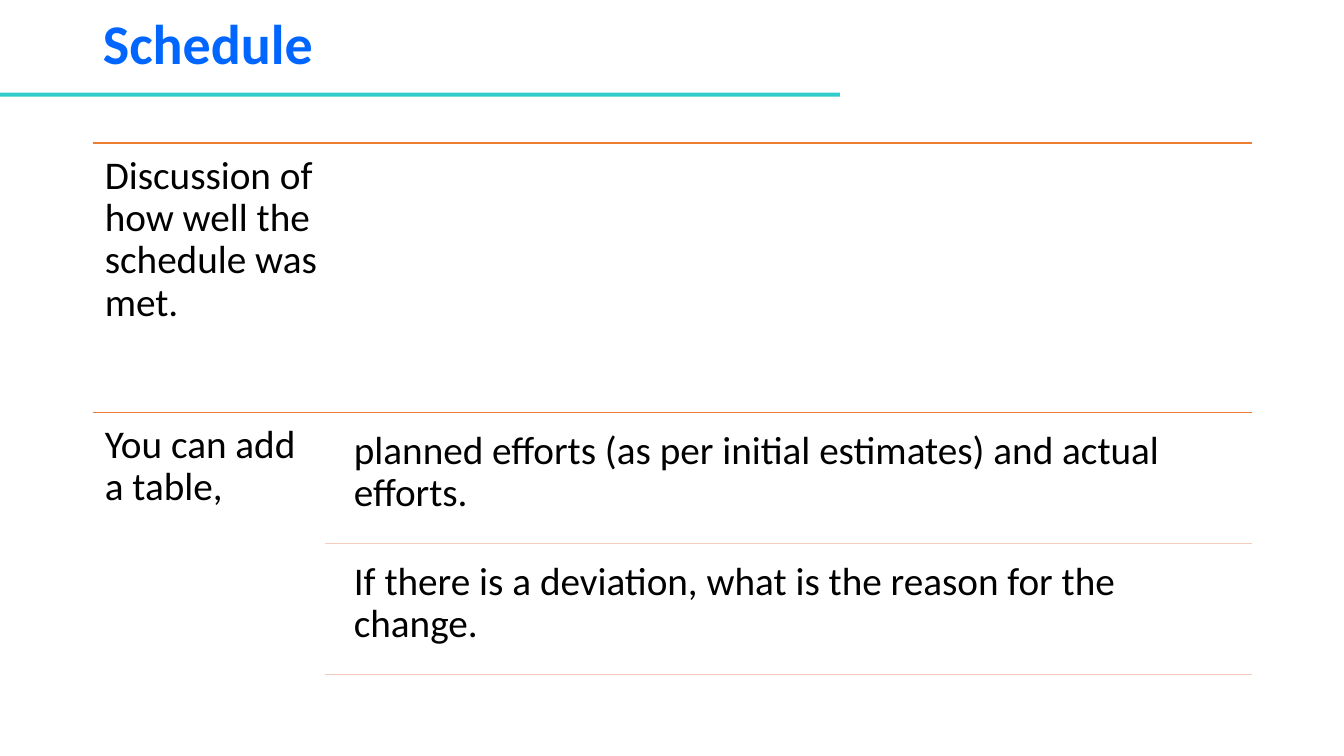
from pptx import Presentation
from pptx.dml.color import RGBColor
from pptx.enum.shapes import MSO_CONNECTOR as Connector, MSO_SHAPE as Shape
from pptx.enum.text import MSO_ANCHOR as Anchor, PP_ALIGN as Align
from pptx.oxml.ns import qn
from pptx.util import Inches, Pt
from lxml.etree import SubElement

TITLE = "Schedule"
SECTIONS = [
    ("Discussion of how well the schedule was met.", 2.53, []),
    ("You can add a table,", 2.3, [
        "planned efforts (as per initial estimates) and actual efforts.",
        "If there is a deviation, what is the reason for the change.",
    ]),
]

BLUE = RGBColor(0x00, 0x66, 0xFF)
TEAL = RGBColor(0x33, 0xCC, 0xCC)
ORANGE = RGBColor(0xED, 0x7D, 0x31)
PINK = RGBColor(0xF6, 0xCC, 0xBE)
BLACK = RGBColor(0, 0, 0)

LEFT, RIGHT, TOP = 0.92, 12.42, 1.42
SECTION_HEIGHT = 2.67
DETAIL_RULE_LEFT, DETAIL_LEFT = 3.22, 3.39
DETAIL_HEIGHT, DETAIL_GAP = 1.24, 0.06
INSET = 0.12


def write(frame, text, size=28, color=BLACK, bold=False, anchor=Anchor.TOP, inset=None, after=0):
    frame.word_wrap = True
    frame.vertical_anchor = anchor
    if inset is not None:
        frame.margin_left = frame.margin_right = Inches(inset)
        frame.margin_top = frame.margin_bottom = Inches(inset)
    para = frame.paragraphs[0]
    para.alignment = Align.LEFT
    para.line_spacing = 0.9
    para.space_after = Pt(after)
    span = para.add_run()
    span.text = text
    span.font.name = "Calibri"
    span.font.size = Pt(size)
    span.font.bold = bold
    span.font.color.rgb = color


def add_text(page, text, left, top, width, height):
    box = page.shapes.add_textbox(Inches(left), Inches(top), Inches(width), Inches(height))
    write(box.text_frame, text, inset=INSET, after=9.8)


def add_rule(page, left, top, color):
    rule = page.shapes.add_connector(
        Connector.STRAIGHT, Inches(left), Inches(top), Inches(RIGHT), Inches(top))
    rule.line.color.rgb = color
    rule.line.width = Pt(1)
    SubElement(rule._element.spPr, qn("a:effectLst"))


def main():
    deck = Presentation()
    deck.slide_width, deck.slide_height = Inches(13.33), Inches(7.5)
    page = deck.slides.add_slide(deck.slide_layouts[5])

    title = page.shapes.title
    title.left, title.top = Inches(LEFT), Inches(0)
    title.width, title.height = Inches(RIGHT - LEFT), Inches(0.92)
    write(title.text_frame, TITLE, size=40, color=BLUE, bold=True, anchor=Anchor.MIDDLE)

    bar = page.shapes.add_shape(Shape.RECTANGLE, 0, Inches(0.92), Inches(8.33), Inches(0.04))
    bar.shadow.inherit = False
    bar.fill.solid()
    bar.fill.fore_color.rgb = TEAL
    bar.line.fill.background()

    for index, (heading, width, details) in enumerate(SECTIONS):
        top = TOP + index * SECTION_HEIGHT
        add_rule(page, LEFT, top, ORANGE)
        add_text(page, heading, LEFT, top, width, SECTION_HEIGHT)
        for row, detail in enumerate(details):
            detail_top = top + DETAIL_GAP + row * (DETAIL_HEIGHT + DETAIL_GAP)
            add_text(page, detail, DETAIL_LEFT, detail_top, RIGHT - DETAIL_LEFT, DETAIL_HEIGHT)
            add_rule(page, DETAIL_RULE_LEFT, detail_top + DETAIL_HEIGHT, PINK)

    deck.save("out.pptx")


if __name__ == "__main__":
    main()
